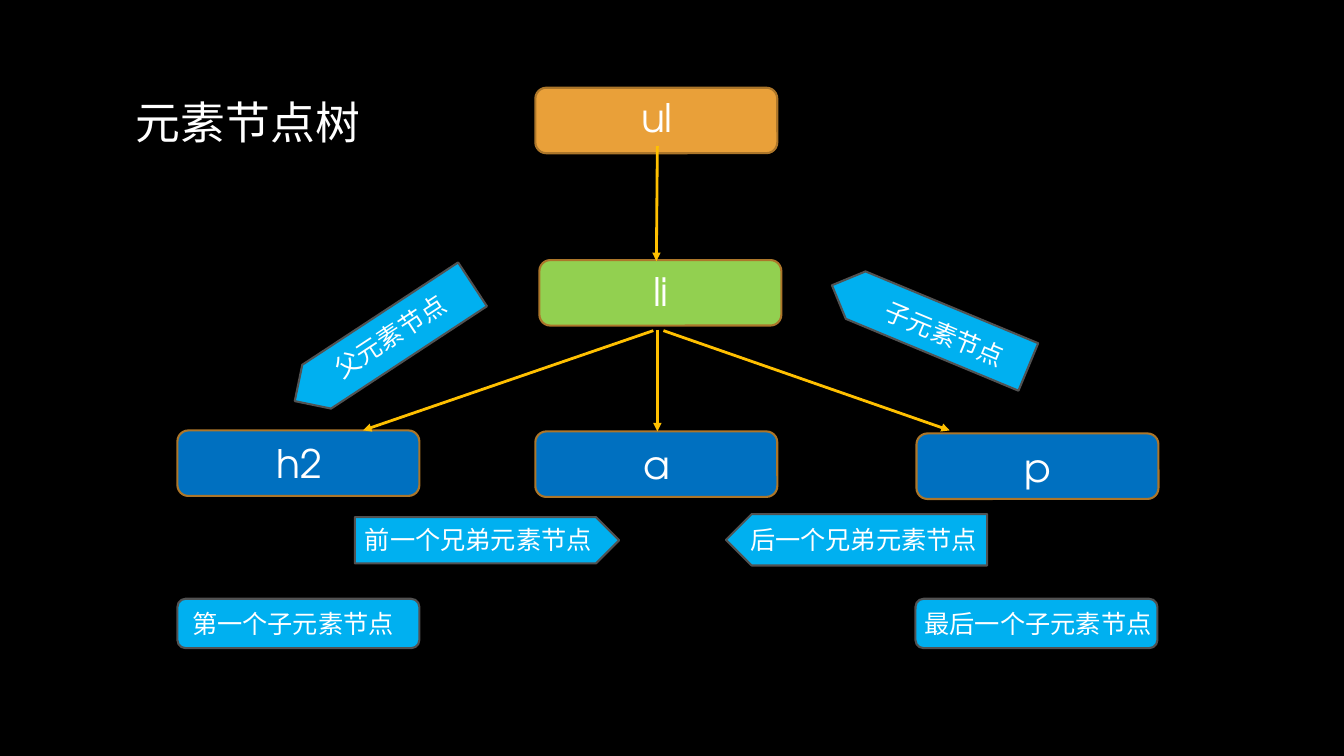
from lxml import etree
from pptx import Presentation
from pptx.dml.color import RGBColor
from pptx.enum.shapes import MSO_CONNECTOR, MSO_SHAPE
from pptx.enum.text import MSO_ANCHOR, PP_ALIGN
from pptx.oxml.ns import qn
from pptx.util import Inches, Pt

FONT = "TeX Gyre Adventor"
BLACK = RGBColor(0x00, 0x00, 0x00)
WHITE = RGBColor(0xFF, 0xFF, 0xFF)
ORANGE = RGBColor(0xE9, 0xA0, 0x39)
GREEN = RGBColor(0x92, 0xD0, 0x50)
BLUE = RGBColor(0x00, 0x70, 0xC0)
SKY = RGBColor(0x00, 0xB0, 0xF0)
BROWN = RGBColor(0xAC, 0x76, 0x2A)
GRAY = RGBColor(0x52, 0x52, 0x52)
GOLD = RGBColor(0xFF, 0xC0, 0x00)

NODE_WIDTH, NODE_HEIGHT = 2.4, 0.65

# Tag, left, top, top of its label, fill
NODES = [
    ("ul", 5.31, 0.87, 0.88, ORANGE),
    ("li", 5.35, 2.58, 2.6, GREEN),
    ("h2", 1.76, 4.27, 4.31, BLUE),
    ("a", 5.31, 4.28, 4.32, BLUE),
    ("p", 9.09, 4.3, 4.35, BLUE),
]

# Start and end of each arrow from parent to child
ARROWS = [
    ((6.52, 1.45), (6.51, 2.59)),
    ((6.48, 3.28), (3.6, 4.27)),
    ((6.52, 3.27), (6.52, 4.28)),
    ((6.58, 3.28), (9.42, 4.27)),
]

# Text, plate area, plate rotation, text area, text rotation
SIGNS = [
    ("前一个兄弟元素节点", (3.52, 5.13, 2.62, 0.46), 0, (3.52, 5.15, 2.62, 0.4), 0),
    ("后一个兄弟元素节点", (7.2, 5.1, 2.59, 0.51), 180, (7.34, 5.15, 2.95, 0.4), 0),
    ("子元素节点", (8.17, 2.98, 2.11, 0.51), 202.6, (8.62, 3.24, 2.12, 0.4), 22.6),
    ("父元素节点", (2.75, 3.14, 2.11, 0.52), 146.7, (3.09, 2.95, 2.12, 0.4), 326.7),
]

# Text, left of the badge, left and width of the text
BADGES = [
    ("第一个子元素节点", 1.76, 1.76, 2.29),
    ("最后一个子元素节点", 9.08, 9.07, 2.45),
]


def add_block(page, kind, area, fill, line, rotation=0):
    block = page.shapes.add_shape(kind, *map(Inches, area))
    block.shadow.inherit = False
    block.rotation = rotation
    block.fill.solid()
    block.fill.fore_color.rgb = fill
    block.line.color.rgb = line
    block.line.width = Pt(1.5)


def add_label(page, text, area, size, align=PP_ALIGN.LEFT, rotation=0,
              anchor=MSO_ANCHOR.TOP):
    box = page.shapes.add_textbox(*map(Inches, area))
    box.rotation = rotation
    frame = box.text_frame
    frame.word_wrap = True
    frame.vertical_anchor = anchor
    frame.text = text
    paragraph = frame.paragraphs[0]
    paragraph.alignment = align
    font = paragraph.runs[0].font
    font.name = FONT
    font.size = Pt(size)
    font.color.rgb = WHITE


def add_arrow(page, start, end):
    arrow = page.shapes.add_connector(
        MSO_CONNECTOR.STRAIGHT, *map(Inches, start + end))
    arrow.line.color.rgb = GOLD
    arrow.line.width = Pt(2)
    line = arrow.line._get_or_add_ln()
    etree.SubElement(line, qn("a:tailEnd"), type="triangle")
    etree.SubElement(arrow._element.spPr, qn("a:effectLst"))


def main():
    deck = Presentation()
    deck.slide_width, deck.slide_height = Inches(13.33), Inches(7.5)
    page = deck.slides.add_slide(deck.slide_layouts[6])
    page.background.fill.solid()
    page.background.fill.fore_color.rgb = BLACK

    # Title
    add_label(page, "元素节点树", (1.25, 0.67, 10.83, 1.07), 32,
              anchor=MSO_ANCHOR.MIDDLE)

    # Tree nodes and their arrows
    for tag, left, top, label_top, fill in NODES:
        add_block(page, MSO_SHAPE.ROUNDED_RECTANGLE,
                  (left, top, NODE_WIDTH, NODE_HEIGHT), fill, BROWN)
        add_label(page, tag, (left + 0.15, label_top, 2.11, 0.57), 28,
                  PP_ALIGN.CENTER)
    for start, end in ARROWS:
        add_arrow(page, start, end)

    # Signs for the relations between nodes
    for text, plate, plate_rotation, area, rotation in SIGNS:
        add_block(page, MSO_SHAPE.PENTAGON, plate, SKY, GRAY, plate_rotation)
        add_label(page, text, area, 18, rotation=rotation)

    # Badges below the first and last child
    for text, left, text_left, text_width in BADGES:
        add_block(page, MSO_SHAPE.ROUNDED_RECTANGLE,
                  (left, 5.94, NODE_WIDTH, 0.49), SKY, GRAY)
        add_label(page, text, (text_left, 5.99, text_width, 0.4), 18,
                  PP_ALIGN.CENTER)

    deck.save("out.pptx")


if __name__ == "__main__":
    main()
